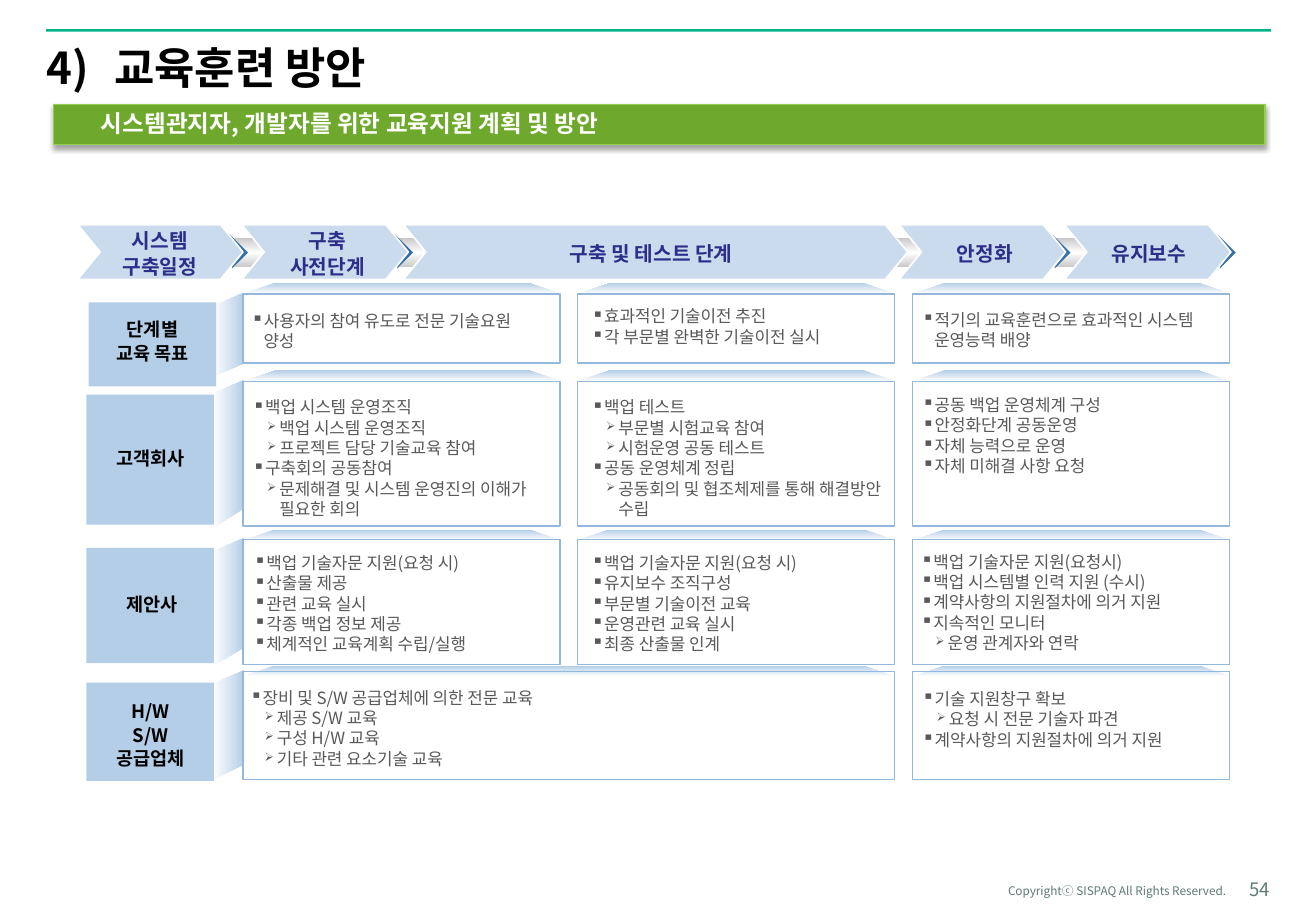
from copy import deepcopy

from lxml.etree import SubElement
from pptx import Presentation
from pptx.dml.color import RGBColor
from pptx.enum.shapes import MSO_SHAPE as Preset
from pptx.enum.text import MSO_ANCHOR as Anchor, PP_ALIGN as Align
from pptx.oxml.ns import qn
from pptx.util import Inches, Pt

BLUE, BORDER, TIP, STAGE = "B5CEE7", "94B8DC", "376FA7", "C9DBED"
BODY, BLACK, NAVY, FOOTER = "595959", "000000", "2D2D8A", "5F7A76"
COLUMNS = [2, 4.75, 7.51]
CELL_WIDTH = 2.61
LABEL_INSETS = (0.04,) * 4
CELL_INSETS = (0.1, 0.05, 0.1, 0.05)

# left, width, text left, text width, text
STAGES = [
    (0.64, 1.36, 0.84, 0.95, "시스템\n구축일정"),
    (1.99, 1.37, 2.22, 0.95, "구축 사전단계"),
    (3.32, 4.15, 4.33, 2.06, "구축 및 테스트 단계"),
    (7.4, 1.37, 7.63, 0.95, "안정화"),
    (8.76, 1.37, 8.98, 0.95, "유지보수"),
]

# Cells: first column, last column, text left, text top, lines (">" marks a second level)
ROWS = [
    dict(lid=2.33, top=2.42, height=0.57, label=(0.73, 2.49, 1.05, 0.69),
         side=(3.1, 2.99), text=(0.75, 2.73, 1.01, 0.15),
         title=["단계별", "교육 목표"], cells=[
             (0, 0, 1.97, 2.51, ["사용자의 참여 유도로 전문 기술요원 양성"]),
             (1, 1, 4.77, 2.47, ["효과적인 기술이전 추진", "각 부문별 완벽한 기술이전 실시"]),
             (2, 2, 7.49, 2.5, ["적기의 교육훈련으로 효과적인 시스템 운영능력 배양"])]),
    dict(lid=3.05, top=3.14, height=1.19, label=(0.71, 3.25, 1.05, 1.07),
         side=(4.35, 4.18), text=(0.59, 3.57, 1.3, 0.39),
         title=["고객회사"], cells=[
             (0, 0, 1.98, 3.22, ["백업 시스템 운영조직", ">백업 시스템 운영조직",
                                 ">프로젝트 담당 기술교육 참여", "구축회의 공동참여",
                                 ">문제해결 및 시스템 운영진의 이해가 필요한 회의"]),
             (1, 1, 4.77, 3.22, ["백업 테스트", ">부문별 시험교육 참여",
                                 ">시험운영 공동 테스트", "공동 운영체계 정립",
                                 ">공동회의 및 협조체제를 통해 해결방안 수립"]),
             (2, 2, 7.49, 3.2, ["공동 백업 운영체계 구성", "안정화단계 공동운영",
                                "자체 능력으로 운영", "자체 미해결 사항 요청"])]),
    dict(lid=4.36, top=4.44, height=1.03, label=(0.71, 4.51, 1.05, 0.95),
         side=(5.48, 5.33), text=(0.6, 4.8, 1.3, 0.34),
         title=["제안사"], cells=[
             (0, 0, 1.99, 4.5, ["백업 기술자문 지원(요청 시)", "산출물 제공", "관련 교육 실시",
                                "각종 백업 정보 제공", "체계적인 교육계획 수립/실행"]),
             (1, 1, 4.77, 4.5, ["백업 기술자문 지원(요청 시)", "유지보수 조직구성",
                                "부문별 기술이전 교육", "운영관련 교육 실시", "최종 산출물 인계"]),
             (2, 2, 7.48, 4.49, ["백업 기술자문 지원(요청시)", "백업 시스템별 인력 지원 (수시)",
                                 "계약사항의 지원절차에 의거 지원", "지속적인 모니터",
                                 ">운영 관계자와 연락"])]),
    dict(lid=5.48, top=5.53, height=0.89, label=(0.71, 5.62, 1.05, 0.81),
         side=(6.42, 6.29), text=(0.59, 5.85, 1.3, 0.39),
         title=["H/W", "S/W\n공급업체"], cells=[
             (0, 1, 1.96, 5.61, ["장비 및 S/W 공급업체에 의한 전문 교육", ">제공 S/W 교육",
                                 ">구성 H/W 교육", ">기타 관련 요소기술 교육"]),
             (2, 2, 7.49, 5.62, ["기술 지원창구 확보", ">요청 시 전문 기술자 파견",
                                 "계약사항의 지원절차에 의거 지원"])]),
]


def color(value):
    return RGBColor.from_string(value)


class Painter:
    font = "Noto Sans CJK KR"

    def __init__(self, page):
        self.page = page

    def paint(self, shape, fill=None, line=None, weight=0.75, angle=90):
        """Fill with one colour, a list of gradient colours, or nothing."""
        shape.shadow.inherit = False
        if isinstance(fill, list):
            shape.fill.gradient()
            shape.fill.gradient_angle = angle
            stops = shape.element.spPr.find(".//" + qn("a:gsLst"))
            for _ in fill[2:]:
                stops.append(deepcopy(stops[1]))
            for index, (stop, value) in enumerate(zip(shape.fill.gradient_stops, fill)):
                stop.position = index / (len(fill) - 1)
                stop.color.rgb = color(value)
        elif fill:
            shape.fill.solid()
            shape.fill.fore_color.rgb = color(fill)
        else:
            shape.fill.background()
        if line:
            shape.line.color.rgb = color(line)
            shape.line.width = Pt(weight)
        else:
            shape.line.fill.background()
        return shape

    def shape(self, preset, area, adjust=None, **style):
        shape = self.page.shapes.add_shape(preset, *map(Inches, area))
        if adjust is not None:
            shape.adjustments[0] = adjust
        return self.paint(shape, **style)

    def outline(self, points, **style):
        corners = [(Inches(x), Inches(y)) for x, y in points]
        builder = self.page.shapes.build_freeform(*corners[0])
        builder.add_line_segments(corners[1:], close=True)
        return self.paint(builder.convert_to_shape(), **style)

    def frame(self, frame, insets, anchor, wrap=True):
        frame.margin_left, frame.margin_top, frame.margin_right, frame.margin_bottom = map(Inches, insets)
        frame.vertical_anchor, frame.word_wrap = anchor, wrap
        return frame

    def set_text(self, para, text, size, ink, bold=False, align=Align.LEFT, spacing=None):
        para.text, para.alignment = text, align
        if spacing:
            para.line_spacing = spacing
        font = para.font
        font.size, font.bold, font.name = Pt(size), bold, self.font
        font.color.rgb = color(ink)
        SubElement(para._p.pPr.find(qn("a:defRPr")), qn("a:ea"), typeface=self.font)

    def indent(self, para, left, hanging):
        properties = para._p.get_or_add_pPr()
        properties.set("marL", str(Inches(left)))
        properties.set("indent", str(-Inches(hanging)))
        return properties

    def text(self, area, lines, size, ink, insets=LABEL_INSETS, anchor=Anchor.MIDDLE, wrap=True, **style):
        box = self.page.shapes.add_textbox(*map(Inches, area))
        frame = self.frame(box.text_frame, insets, anchor, wrap)
        for index, line in enumerate(lines):
            para = frame.add_paragraph() if index else frame.paragraphs[0]
            self.set_text(para, line, size, ink, **style)

    def bullets(self, area, lines):
        box = self.page.shapes.add_textbox(*map(Inches, area))
        frame = self.frame(box.text_frame, CELL_INSETS, Anchor.TOP)
        for index, line in enumerate(lines):
            para = frame.add_paragraph() if index else frame.paragraphs[0]
            nested = line.startswith(">")
            para.level = int(nested)
            properties = self.indent(para, 0.22 if nested else 0.1, 0.1)
            if nested:
                SubElement(properties, qn("a:buSzPct"), val="70000")
            SubElement(properties, qn("a:buChar"), char="➢" if nested else "▪")
            self.set_text(para, line.lstrip(">"), 10, BODY)

    def title(self, area, text):
        title = self.page.shapes.title
        title.left, title.top, title.width, title.height = map(Inches, area)
        para = self.frame(title.text_frame, (0,) * 4, Anchor.MIDDLE).paragraphs[0]
        properties = self.indent(para, 0.56, 0.56)
        SubElement(properties, qn("a:buFont"), typeface="+mj-lt")
        SubElement(properties, qn("a:buAutoNum"), type="arabicParenR", startAt="4")
        self.set_text(para, text, 26, BLACK, bold=True)

    def banner(self, area, text):
        bar = self.shape(Preset.ROUNDED_RECTANGLE, area, 0, fill="6EA92D", line="92D050")
        shadow = SubElement(bar.element.spPr.find(qn("a:effectLst")), qn("a:outerShdw"),
                            blurRad=str(Pt(3.1)), dist=str(Pt(1.8)), dir="5400000", rotWithShape="0")
        SubElement(SubElement(shadow, qn("a:srgbClr"), val=BLACK), qn("a:alpha"), val="35000")
        para = self.frame(bar.text_frame, (0.39, 0.05, 0.04, 0.05), Anchor.MIDDLE).paragraphs[0]
        self.indent(para, 0.39, 0.39)
        self.set_text(para, text, 14, "FFFFFF", bold=True, spacing=0.95)

    def row(self, lid, top, height, label, side, text, title, cells):
        shade = ["FFFFFF", BLUE]
        spans = [(COLUMNS[first], COLUMNS[last] + CELL_WIDTH) for first, last, *_ in cells]
        for left, right in spans:
            self.outline([(left, lid + 0.09), (left + 0.27, lid), (right - 0.26, lid),
                          (right + 0.01, lid + 0.09)], fill=shade)
        outer, inner = side
        self.outline([(2.01, top - 0.01), (1.75, top + 0.1), (1.75, outer), (2.01, inner)],
                     fill=shade, angle=0)
        for left, right in spans:
            self.shape(Preset.RECTANGLE, (left, top, right - left, height), line=BORDER)
        self.shape(Preset.RECTANGLE, label, fill=BLUE)
        self.text(text, title, 11, BLACK, bold=True, align=Align.CENTER, spacing=1.05)
        for (first, last, x, y, lines), (left, right) in zip(cells, spans):
            self.bullets((x, y, right - left, height - 0.12), lines)

    def stage(self, left, width, text_left, text_width, text):
        right = left + width
        if width < 2:
            self.outline([(right - 0.11, 1.93), (right + 0.04, 2.08), (right - 0.09, 2.21)], fill=TIP)
        self.shape(Preset.CHEVRON, (left, 1.85, width, 0.45), 0.41, fill=STAGE, line="FFFFFF", weight=1)
        self.text((text_left, 1.89, text_width, 0.38), [text], 12, NAVY,
                  bold=True, align=Align.CENTER, spacing=1.05)


def main():
    deck = Presentation()
    deck.slide_width, deck.slide_height = Inches(10.83), Inches(7.5)
    painter = Painter(deck.slides.add_slide(deck.slide_layouts[5]))
    painter.shape(Preset.RECTANGLE, (0.38, 0.24, 10.08, 0.02), fill="00B388")
    for area, text, size in [((9.98, 7.16, 0.47, 0.25), "54", 11),
                             ((7.4, 7.17, 2.69, 0.22), "Copyrightⓒ SISPAQ All Rights Reserved.", 7)]:
        painter.text(area, [text], size, FOOTER, insets=(0,) * 4, anchor=Anchor.BOTTOM,
                     wrap=False, align=Align.RIGHT)
    painter.title((0.38, 0.26, 10.08, 0.58), "교육훈련 방안")
    painter.banner((0.44, 0.86, 9.97, 0.33), "시스템관지자, 개발자를 위한 교육지원 계획 및 방안")
    for row in ROWS:
        painter.row(**row)
    for left in (1.02, 5.07):
        painter.shape(Preset.ROUNDED_RECTANGLE, (left, 1.96, 4.78, 0.24), 0.5,
                      fill=["C9C9C9", "FFFFFF", "C9C9C9"])
    for stage in STAGES:
        painter.stage(*stage)
    deck.save("out.pptx")


if __name__ == "__main__":
    main()
